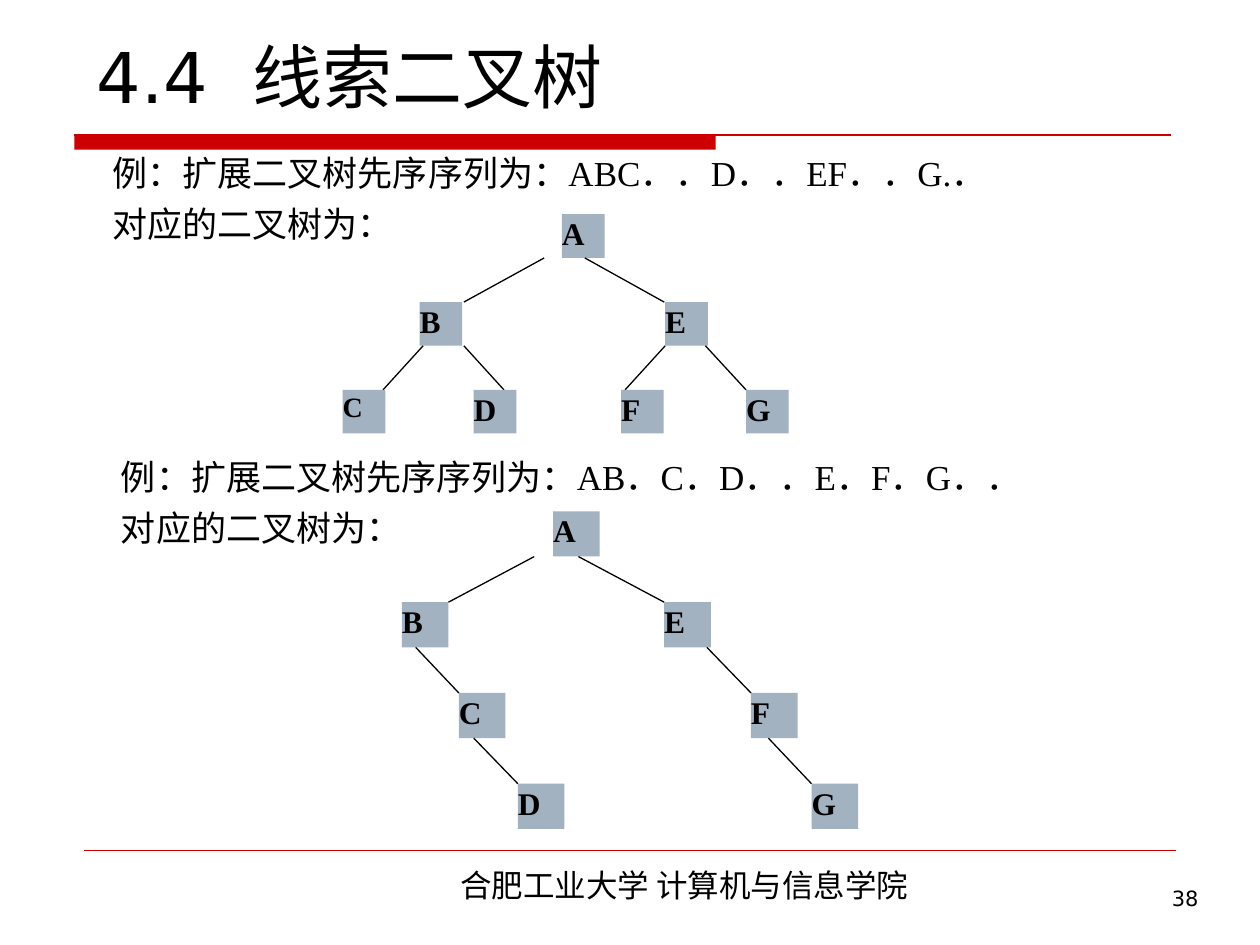
"""Build a slide showing two binary trees rebuilt from extended preorder sequences."""
from lxml import etree
from pptx import Presentation
from pptx.dml.color import RGBColor
from pptx.enum.shapes import MSO_CONNECTOR, MSO_SHAPE
from pptx.enum.text import MSO_ANCHOR, PP_ALIGN
from pptx.oxml.ns import qn
from pptx.util import Cm, Pt

LEFT, CENTER, RIGHT, JUSTIFY = PP_ALIGN.LEFT, PP_ALIGN.CENTER, PP_ALIGN.RIGHT, PP_ALIGN.JUSTIFY
TOP, BOTTOM = MSO_ANCHOR.TOP, MSO_ANCHOR.BOTTOM
RECT, STRAIGHT = MSO_SHAPE.RECTANGLE, MSO_CONNECTOR.STRAIGHT

COLORS = {"text": "000000", "accent": "CC0000", "node": "A3B2C1"}
SERIF, SANS, CJK = "Times New Roman", "DejaVu Sans", "Noto Sans CJK SC"

TITLE = "4.4  线索二叉树"
FOOTER = "合肥工业大学 计算机与信息学院"
PAGE = "38"

# Each node: label, level, left, then the x of its edge at the parent and at the node.
EXAMPLES = [
    {
        "lines": ["例：扩展二叉树先序序列为：ABC．．D．．EF．．G.．", "对应的二叉树为："],
        "text_at": (2.27, 3.05),
        "top": 4.32, "pitch": 1.77, "node": (0.86, 0.88),
        "nodes": [
            ("A", 0, 11.33, None),
            ("B", 1, 8.46, (10.97, 9.35)),
            ("E", 1, 13.41, (11.79, 13.39)),
            ("C", 2, 6.91, (8.53, 7.72)),
            ("D", 2, 9.55, (9.35, 10.16)),
            ("F", 2, 12.52, (13.41, 12.6)),
            ("G", 2, 15.04, (14.22, 15.04)),
        ],
        "sizes": {"C": 16},
    },
    {
        "lines": ["例：扩展二叉树先序序列为：AB．C．D．．E．F．G．．", "对应的二叉树为："],
        "text_at": (2.44, 9.18),
        "top": 10.31, "pitch": 1.83, "node": (0.94, 0.91),
        "nodes": [
            ("A", 0, 11.15, None),
            ("B", 1, 8.1, (10.77, 9.04)),
            ("E", 1, 13.39, (11.66, 13.39)),
            ("C", 2, 9.25, (8.38, 9.25)),
            ("F", 2, 15.14, (14.25, 15.14)),
            ("D", 3, 10.44, (9.55, 10.44)),
            ("G", 3, 16.36, (15.49, 16.36)),
        ],
        "sizes": {},
    },
]


def color(name):
    return RGBColor.from_string(COLORS[name])


def write(s, lines, size, font, align=LEFT, anchor=TOP, inset=(0, 0), bold=False, before=0):
    tf = s.text_frame
    tf.word_wrap = True
    tf.vertical_anchor = anchor
    tf.margin_left = tf.margin_right = Cm(inset[0])
    tf.margin_top = tf.margin_bottom = Cm(inset[1])
    for i, line in enumerate(lines):
        p = tf.paragraphs[0] if i == 0 else tf.add_paragraph()
        p.text = line
        p.alignment = align
        p.space_before = Pt(before)
        p.font.size, p.font.name, p.font.bold = Pt(size), font, bold
        p.font.color.rgb = color("text")


def add_text(slide, box, lines, *args, **kwargs):
    write(slide.shapes.add_textbox(*map(Cm, box)), lines, *args, **kwargs)


def add_rect(slide, box, fill):
    s = slide.shapes.add_shape(RECT, *map(Cm, box))
    s.shadow.inherit = False
    s.fill.solid()
    s.fill.fore_color.rgb = color(fill)
    s.line.fill.background()
    return s


def add_line(slide, ends, name, width):
    s = slide.shapes.add_connector(STRAIGHT, *map(Cm, ends))
    s.line.color.rgb = color(name)
    s.line.width = Pt(width)
    etree.SubElement(s._element.spPr, qn("a:effectLst"))


def add_example(slide, ex):
    add_text(slide, (*ex["text_at"], 21.5, 2.1), ex["lines"], 20, SERIF, before=5)
    width, height = ex["node"]
    for label, level, left, edge in ex["nodes"]:
        top = ex["top"] + level * ex["pitch"]
        if edge:
            add_line(slide, (edge[0], top - ex["pitch"] + height, edge[1], top), "text", 0.75)
        s = add_rect(slide, (left, top, width, height), "node")
        write(s, [label], ex["sizes"].get(label, 18), SERIF, JUSTIFY, bold=True)


def main():
    prs = Presentation()
    prs.slide_width, prs.slide_height = Cm(25.4), Cm(19.05)
    slide = prs.slides.add_slide(prs.slide_layouts[6])
    inset = (0.25, 0.13)
    add_rect(slide, (1.5, 2.72, 12.93, 0.3), "accent")
    add_line(slide, (1.5, 2.72, 23.6, 2.72), "accent", 0.75)
    add_line(slide, (1.7, 17.15, 23.7, 17.15), "accent", 0.25)
    add_text(slide, (1.7, -0.89, 22.23, 3.38), [TITLE], 40, SANS, anchor=BOTTOM, inset=inset)
    add_text(slide, (6.1, 17.32, 15.39, 1.02), [FOOTER], 18, CJK, CENTER, inset=inset)
    add_text(slide, (18.9, 17.73, 5.51, 1.32), [PAGE], 12, SANS, RIGHT, inset=inset)
    for ex in EXAMPLES:
        add_example(slide, ex)
    prs.save("out.pptx")


if __name__ == "__main__":
    main()
